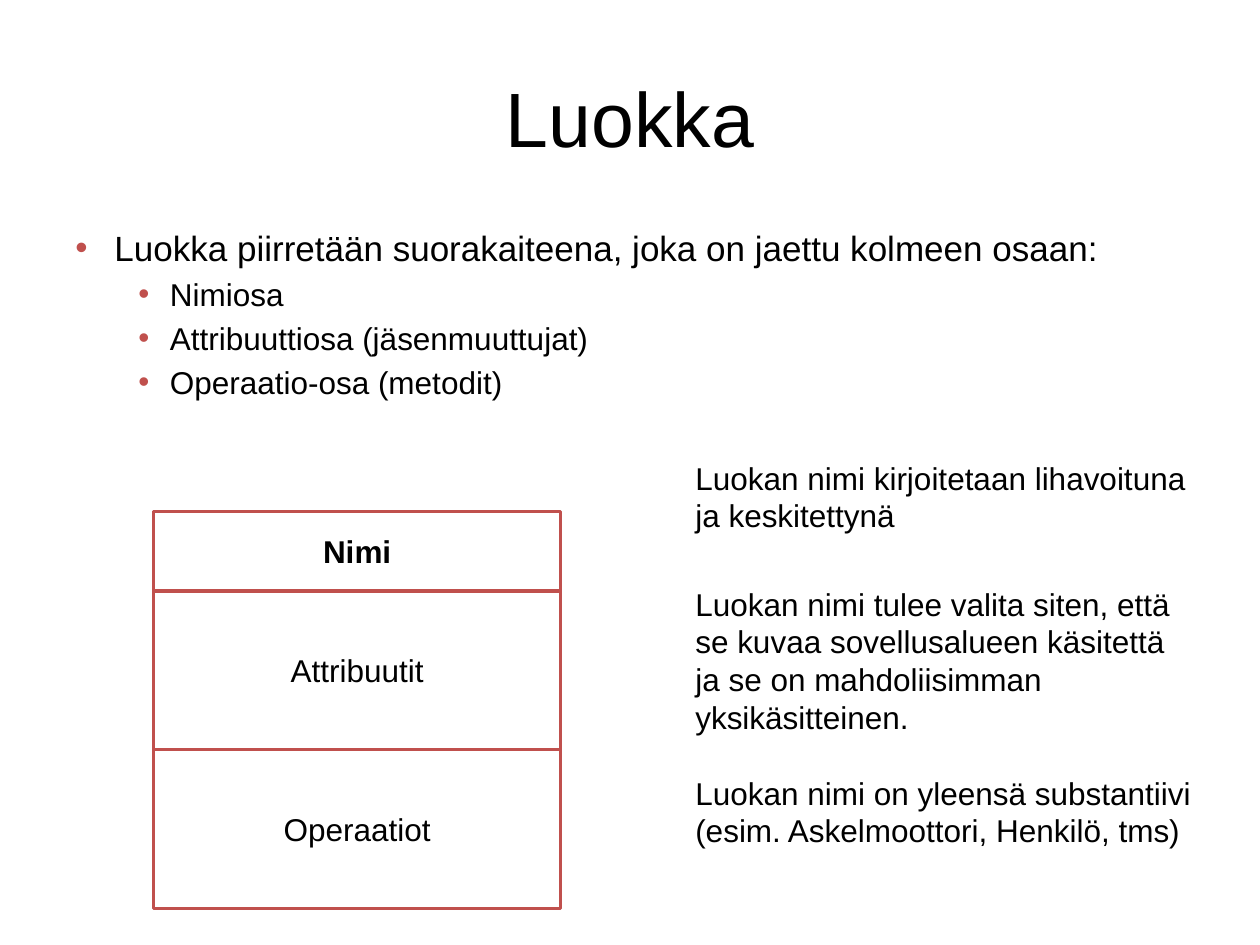
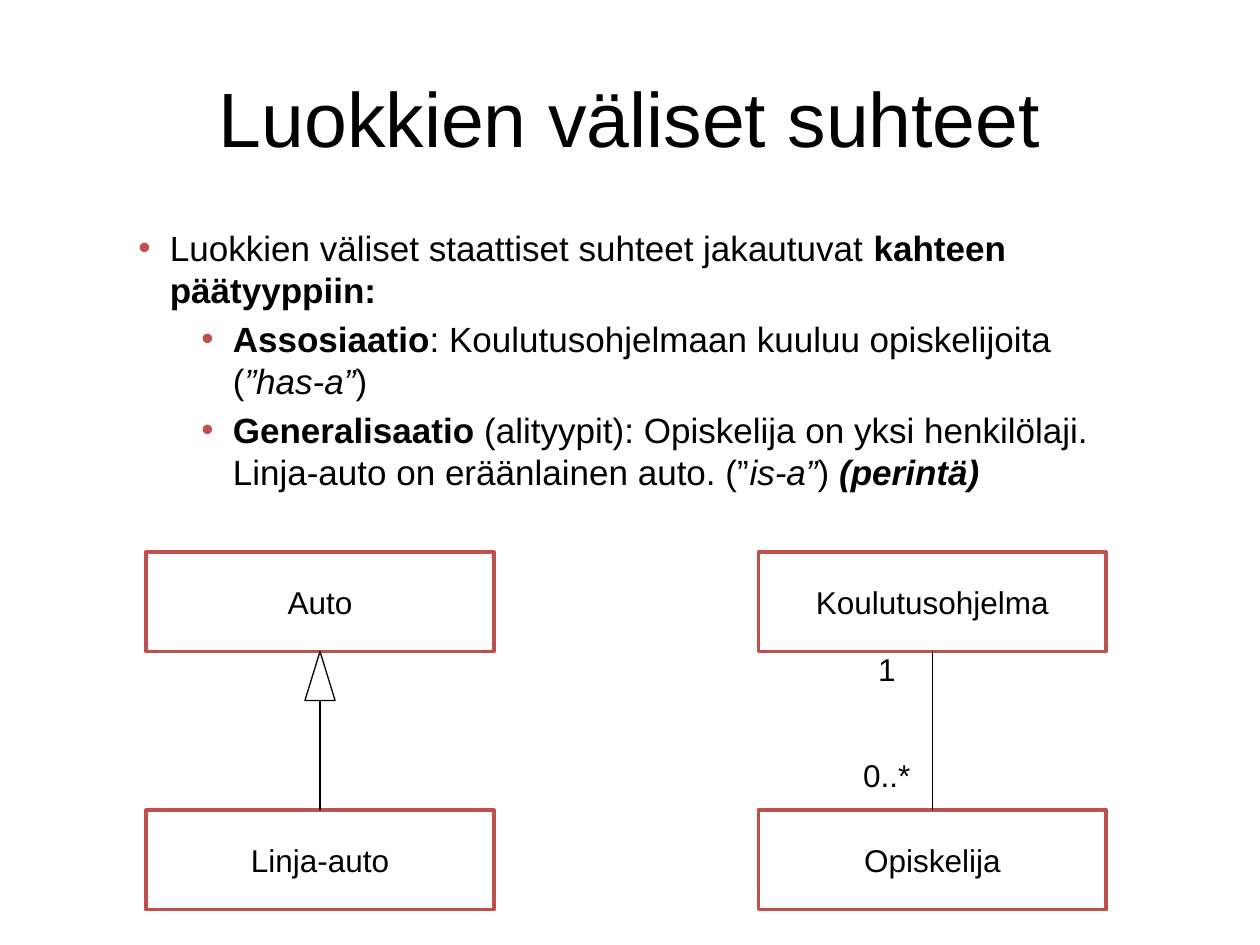
from dataclasses import dataclass
from typing import NamedTuple

from lxml import etree
from pptx import Presentation
from pptx.dml.color import RGBColor
from pptx.enum.shapes import MSO_CONNECTOR, MSO_SHAPE
from pptx.enum.text import MSO_ANCHOR, PP_ALIGN
from pptx.oxml.ns import qn
from pptx.util import Inches, Pt

RECTANGLE, TRIANGLE = MSO_SHAPE.RECTANGLE, MSO_SHAPE.ISOSCELES_TRIANGLE
STRAIGHT = MSO_CONNECTOR.STRAIGHT
LEFT, CENTER = PP_ALIGN.LEFT, PP_ALIGN.CENTER
TOP, MIDDLE = MSO_ANCHOR.TOP, MSO_ANCHOR.MIDDLE
SIDE_TOP, SIDE_BOTTOM = 0, 2


@dataclass(frozen=True)
class Theme:
    font: str = "Arial"
    ink: RGBColor = RGBColor(0x00, 0x00, 0x00)
    paper: RGBColor = RGBColor(0xFF, 0xFF, 0xFF)
    accent: RGBColor = RGBColor(0xC0, 0x50, 0x4D)
    title_size: int = 44
    lead_size: int = 20
    body_size: int = 18
    frame_width: float = 2
    line_width: float = 0.75
    spacing: float = 0.2


class Box(NamedTuple):
    """A region in inches."""
    left: float
    top: float
    width: float
    height: float

    def inner(self, left, top, width, height):
        """Return the region given as shares of this one."""
        return Box(self.left + left * self.width, self.top + top * self.height,
                   width * self.width, height * self.height)

    def emu(self):
        return [Inches(length) for length in self]


THEME = Theme()
PAGE = Box(0, 0, 10, 7.5)
TITLE = PAGE.inner(0.05, 0.04, 0.9, 1 / 6)
# Left edge and hanging indent of each bullet level, in inches
INDENTS = {1: (0.81, -0.31), 2: (1.25, -0.25), 3: (1.75, -0.25)}


def add_bullet(paragraph, level):
    properties = paragraph._p.get_or_add_pPr()
    margin, hanging = INDENTS[level]
    paragraph.level = level
    properties.set("marL", str(Inches(margin)))
    properties.set("indent", str(Inches(hanging)))
    color = etree.SubElement(properties, qn("a:buClr"))
    etree.SubElement(color, qn("a:srgbClr"), val=str(THEME.accent))
    etree.SubElement(properties, qn("a:buFont"), typeface=THEME.font)
    etree.SubElement(properties, qn("a:buChar"), char="•")


def write(paragraph, text, size=THEME.body_size, align=LEFT, before=0, level=None):
    """Fill a paragraph with a string, or with (string, style) runs; b is bold, i italic."""
    paragraph.alignment = align
    paragraph.space_before = Pt(before)
    if level:
        add_bullet(paragraph, level)
    runs = [(text, "")] if isinstance(text, str) else text
    for words, style in runs:
        run = paragraph.add_run()
        run.text = words
        run.font.name = THEME.font
        run.font.size = Pt(size)
        run.font.color.rgb = THEME.ink
        run.font.bold = "b" in style
        run.font.italic = "i" in style


def add_text(slide, box, paragraphs, anchor=TOP, wrap=True):
    """Add a text box; each paragraph is a dict of arguments for write."""
    frame = slide.shapes.add_textbox(*box.emu()).text_frame
    frame.word_wrap = wrap
    frame.vertical_anchor = anchor
    for number, arguments in enumerate(paragraphs):
        paragraph = frame.add_paragraph() if number else frame.paragraphs[0]
        write(paragraph, **arguments)


def add_bullets(slide, box, items):
    """Add bullets given as (level, size, text)."""
    add_text(slide, box, [
        dict(text=text, size=size, level=level, before=THEME.spacing * size)
        for level, size, text in items])


def add_outlined(slide, kind, box, color, width):
    shape = slide.shapes.add_shape(kind, *box.emu())
    shape.shadow.inherit = False
    shape.fill.solid()
    shape.fill.fore_color.rgb = THEME.paper
    shape.line.color.rgb = color
    shape.line.width = Pt(width)
    return shape


def add_class_box(slide, box, text):
    shape = add_outlined(slide, RECTANGLE, box, THEME.accent, THEME.frame_width)
    shape.text_frame.word_wrap = False
    shape.text_frame.vertical_anchor = MIDDLE
    write(shape.text_frame.paragraphs[0], text, align=CENTER)
    return shape


def add_relation(slide, box, upper_name, lower_name):
    """Join two classes at the top and bottom of the box; return the gap between them."""
    share = 0.79 / box.height
    upper = add_class_box(slide, box.inner(0, 0, 1, share), upper_name)
    lower = add_class_box(slide, box.inner(0, 1 - share, 1, share), lower_name)
    line = slide.shapes.add_connector(STRAIGHT, 0, 0, 0, 0)
    line.begin_connect(upper, SIDE_BOTTOM)
    line.end_connect(lower, SIDE_TOP)
    line.line.color.rgb = THEME.ink
    line.line.width = Pt(THEME.line_width)
    etree.SubElement(line._element.spPr, qn("a:effectLst"))
    return box.inner(0, share, 1, 1 - 2 * share)


def add_generalization(slide, box, parent, child):
    gap = add_relation(slide, box, parent, child)
    width, height = 0.24, 0.39
    head = Box(gap.left + (gap.width - width) / 2, gap.top, width, height)
    add_outlined(slide, TRIANGLE, head, THEME.ink, THEME.line_width)


def add_association(slide, box, owner, member, owner_count, member_count):
    gap = add_relation(slide, box, owner, member)
    center = gap.left + 0.37 * gap.width
    for text, width, top in ((owner_count, 0.34, gap.top - 0.06),
                             (member_count, 0.58, gap.top + gap.height - 0.48)):
        label = Box(center - width / 2, top, width, 0.4)
        add_text(slide, label, [dict(text=text)], wrap=False)


def add_class_diagram(slide, box, sections):
    """Stack sections, given as (text, rows), to fill the box."""
    total = sum(rows for _, rows in sections)
    start = 0
    for text, rows in sections:
        add_class_box(slide, box.inner(0, start / total, 1, rows / total), text)
        start += rows


def add_notes_column(slide, box, notes):
    """Add unbulleted notes, given as (text, space before)."""
    add_text(slide, box, [dict(text=text, before=before) for text, before in notes])


def add_titled_slide(presentation, title):
    slide = presentation.slides.add_slide(presentation.slide_layouts[6])
    add_text(slide, TITLE, [dict(text=title, size=THEME.title_size, align=CENTER)],
             anchor=MIDDLE)
    return slide


def build_class_slide(presentation):
    slide = add_titled_slide(presentation, "Luokka")
    lead, body = THEME.lead_size, THEME.body_size
    add_bullets(slide, Box(0, 1.75, 9, 1.84), [
        (1, lead, "Luokka piirretään suorakaiteena, joka on jaettu kolmeen osaan:"),
        (2, body, "Nimiosa"),
        (2, body, "Attribuuttiosa (jäsenmuuttujat)"),
        (2, body, "Operaatio-osa (metodit)"),
    ])
    add_class_diagram(slide, Box(1.22, 4.06, 3.23, 3.15), [
        ([("Nimi", "b")], 1), ("Attribuutit", 2), ("Operaatiot", 2)])
    small_gap = THEME.spacing * body
    blank_line = 1.2 * body
    add_notes_column(slide, Box(5.42, 3.59, 4.17, 3.2), [
        ("Luokan nimi kirjoitetaan lihavoituna ja keskitettynä", small_gap),
        ("Luokan nimi tulee valita siten, että se kuvaa sovellusalueen käsitettä "
         "ja se on mahdoliisimman yksikäsitteinen.", blank_line + 2 * small_gap),
        ("Luokan nimi on yleensä substantiivi (esim. Askelmoottori, Henkilö, tms)",
         blank_line),
    ])


def build_relations_slide(presentation):
    slide = add_titled_slide(presentation, "Luokkien väliset suhteet")
    size = THEME.lead_size
    add_bullets(slide, Box(0, 1.75, 9, 2.5), [
        (2, size, [("Luokkien väliset staattiset suhteet jakautuvat ", ""),
                   ("kahteen päätyyppiin:", "b")]),
        (3, size, [("Assosiaatio", "b"),
                   (": Koulutusohjelmaan kuuluu opiskelijoita (", ""),
                   ("”has-a”", "i"), (")", "")]),
        (3, size, [("Generalisaatio", "b"),
                   (" (alityypit): Opiskelija on yksi henkilölaji. "
                    "Linja-auto on eräänlainen auto. (”", ""),
                   ("is-a”", "i"), (") ", ""), ("(perintä)", "bi")]),
    ])
    top, width, height = 4.38, 2.76, 2.84
    add_association(slide, Box(6.02, top, width, height),
                    "Koulutusohjelma", "Opiskelija", "1", "0..*")
    add_generalization(slide, Box(1.16, top, width, height), "Auto", "Linja-auto")


def main():
    presentation = Presentation()
    presentation.slide_width = Inches(PAGE.width)
    presentation.slide_height = Inches(PAGE.height)
    build_class_slide(presentation)
    build_relations_slide(presentation)
    presentation.save("out.pptx")


if __name__ == "__main__":
    main()
